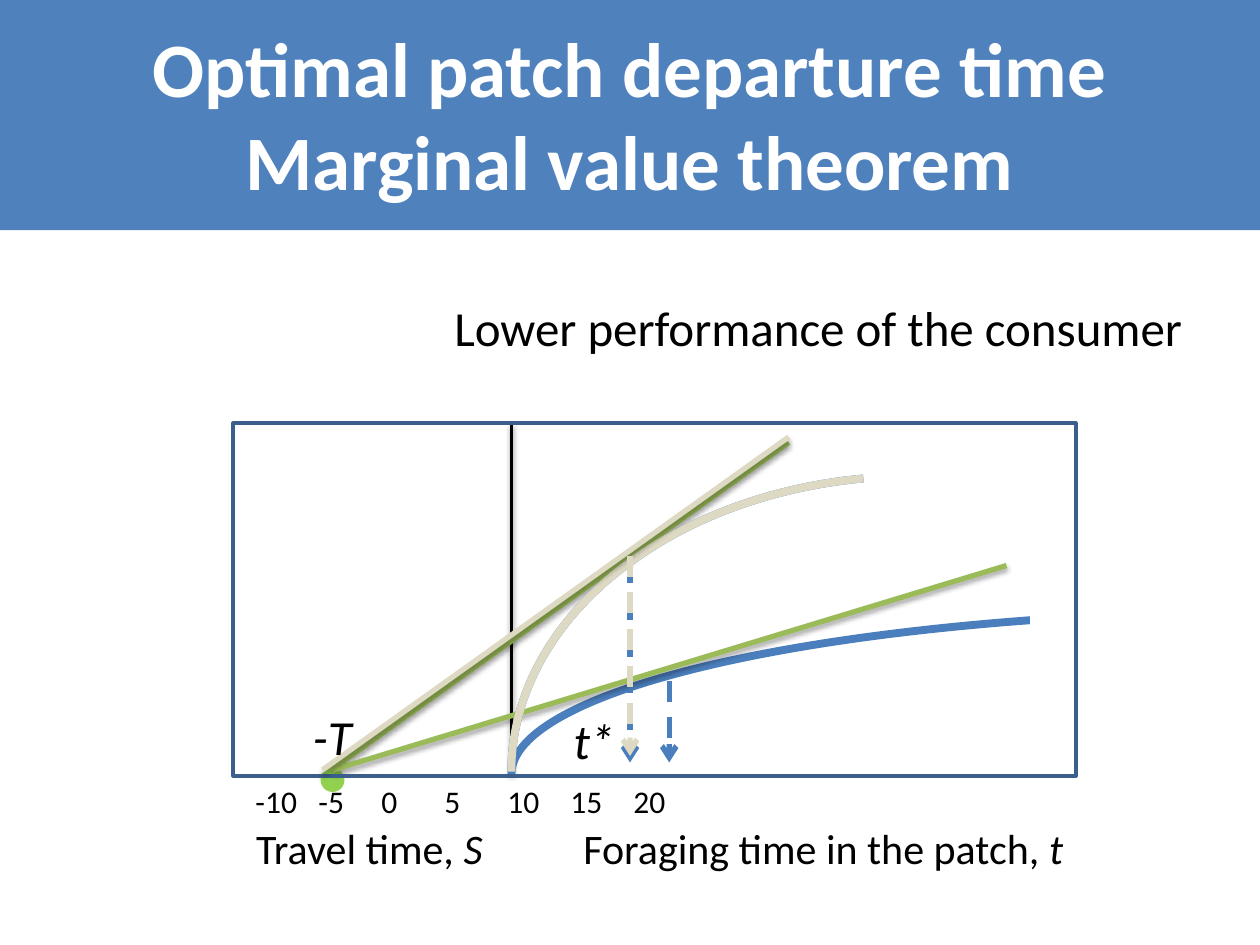
from lxml import etree
from pptx import Presentation
from pptx.dml.color import RGBColor
from pptx.enum.dml import MSO_LINE
from pptx.enum.shapes import MSO_CONNECTOR, MSO_SHAPE
from pptx.enum.text import MSO_ANCHOR, MSO_AUTO_SIZE, PP_ALIGN
from pptx.oxml.ns import qn
from pptx.util import Cm, Pt

BLACK = RGBColor(0x00, 0x00, 0x00)
WHITE = RGBColor(0xFF, 0xFF, 0xFF)
BANNER = RGBColor(0x4F, 0x81, 0xBD)
BLUE = RGBColor(0x4B, 0x7E, 0xBC)
NAVY = RGBColor(0x3A, 0x5F, 0x8C)
GREEN = RGBColor(0x9B, 0xBB, 0x59)
LIME = RGBColor(0x92, 0xD0, 0x50)
SAND = RGBColor(0xDD, 0xD9, 0xC3)
FONT = "Calibri"

prs = Presentation()
prs.slide_width, prs.slide_height = Cm(25.4), Cm(19.05)
s = prs.slides.add_slide(prs.slide_layouts[5])


def add_shape(kind, box, color, width, fill=None, start=None):
    sp = s.shapes.add_shape(kind, *[Cm(v) for v in box])
    sp.shadow.inherit = False
    sp.line.color.rgb = color
    sp.line.width = Pt(width)
    if fill is None:
        sp.fill.background()
    else:
        sp.fill.solid()
        sp.fill.fore_color.rgb = fill
    if start is not None:
        sp.adjustments[0] = start
        sp._element.spPr.get_or_add_xfrm().set("flipH", "1")


def add_line(ends, color, width, arrow=False):
    c = s.shapes.add_connector(MSO_CONNECTOR.STRAIGHT, *[Cm(v) for v in ends])
    c.line.color.rgb = color
    c.line.width = Pt(width)
    if arrow:
        c.line.dash_style = MSO_LINE.DASH
        etree.SubElement(c.line._get_or_add_ln(), qn("a:tailEnd"), type="arrow")
    effects = etree.SubElement(c._element.spPr, qn("a:effectLst"))
    if not arrow:
        shadow = etree.SubElement(effects, qn("a:outerShdw"), blurRad=str(Pt(3.1)),
                                  dist=str(Pt(1.8)), dir="5400000", rotWithShape="0")
        black = etree.SubElement(shadow, qn("a:srgbClr"), val="000000")
        etree.SubElement(black, qn("a:alpha"), val="35000")


title = s.shapes.title
title.left, title.top, title.width, title.height = Cm(0), Cm(-0.08), Cm(25.4), Cm(4.72)
title.fill.solid()
title.fill.fore_color.rgb = BANNER
tf = title.text_frame
tf.text = "Optimal patch departure time\nMarginal value theorem"
tf.vertical_anchor = MSO_ANCHOR.MIDDLE
tf.auto_size = MSO_AUTO_SIZE.NONE
for p in tf.paragraphs:
    p.alignment = PP_ALIGN.CENTER
    for r in p.runs:
        r.font.name, r.font.size, r.font.bold = FONT, Pt(44), True
        r.font.color.rgb = WHITE

high_gain = (10.31, 9.6, 16.21, 11.91)
low_gain = (10.31, 12.32, 31.19, 6.58)

add_shape(MSO_SHAPE.ARC, high_gain, BLUE, 4.5, start=167.81)
add_line((10.31, 8.53, 10.31, 15.6), BLACK, 2)
add_line((6.5, 15.65, 15.9, 8.92), GREEN, 3)
add_line((12.7, 11.33, 12.7, 15.37), BLUE, 3, arrow=True)
add_shape(MSO_SHAPE.OVAL, (6.5, 15.52, 0.41, 0.41), LIME, 2, fill=LIME)
add_shape(MSO_SHAPE.ARC, low_gain, BLUE, 4.5, start=160.15)
add_line((6.71, 15.52, 20.29, 11.4), GREEN, 3)
add_line((13.49, 13.72, 13.49, 15.37), BLUE, 3, arrow=True)
add_shape(MSO_SHAPE.RECTANGLE, (20.8, 11.4, 5.69, 2.31), WHITE, 2, fill=WHITE)
add_shape(MSO_SHAPE.RECTANGLE, (4.7, 8.53, 16.99, 7.11), NAVY, 2)
add_shape(MSO_SHAPE.ARC, high_gain, SAND, 4.5, start=167.81)
add_line((6.5, 15.52, 15.9, 8.81), SAND, 3)
add_line((12.7, 11.2, 12.7, 15.24), SAND, 3, arrow=True)

ticks = "\t".join(str(v) for v in range(-10, 21, 5))
labels = [
    ((4.09, 5.87, 19.99, 1.45), "Lower performance of the consumer", "", 28, PP_ALIGN.RIGHT),
    ((4.9, 15.65, 16.56, 1.02), ticks, "", 18, PP_ALIGN.LEFT),
    ((6.05, 14.12, 1.3, 1.45), "", "-T", 28, PP_ALIGN.CENTER),
    ((11.3, 14.2, 1.35, 1.45), "", "t*", 28, PP_ALIGN.CENTER),
    ((11.51, 16.46, 10.26, 1.27), "Foraging time in the patch, ", "t", 24, PP_ALIGN.LEFT),
    ((4.88, 16.46, 5.13, 1.27), "Travel time, ", "S", 24, PP_ALIGN.CENTER),
]
for box, plain, italic, size, align in labels:
    tf = s.shapes.add_textbox(*[Cm(v) for v in box]).text_frame
    tf.word_wrap = align == PP_ALIGN.RIGHT
    p = tf.paragraphs[0]
    p.alignment = align
    for text, slanted in ((plain, False), (italic, True)):
        if text:
            r = p.add_run()
            r.text = text
            r.font.name, r.font.size, r.font.italic = FONT, Pt(size), slanted
            r.font.color.rgb = BLACK

prs.save("out.pptx")
